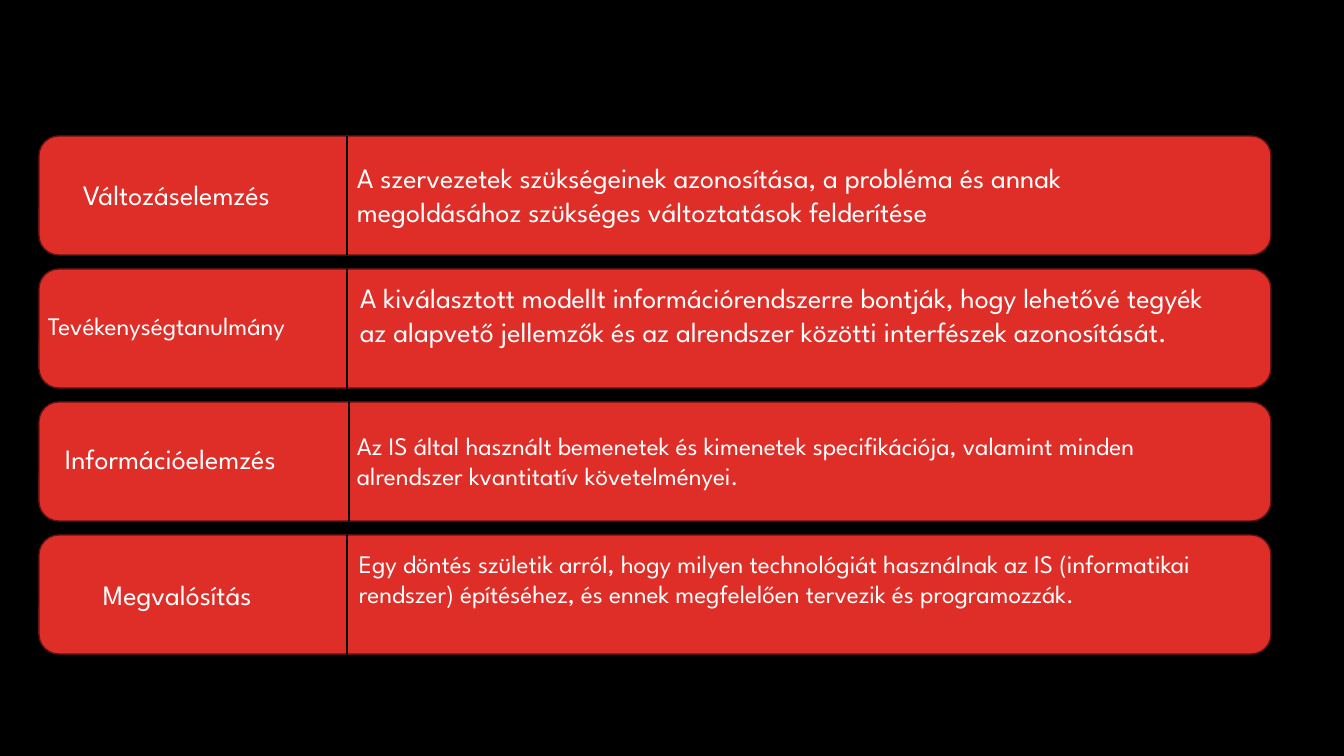
from lxml import etree
from pptx import Presentation
from pptx.dml.color import RGBColor
from pptx.enum.shapes import MSO_CONNECTOR as CONNECTOR, MSO_SHAPE as SHAPE
from pptx.enum.text import MSO_AUTO_SIZE as AUTO_SIZE
from pptx.oxml.ns import qn
from pptx.util import Emu, Pt

COLORS = {"background": "000000", "card": "DF2E28", "outline": "621412", "text": "FFFFFF"}
FONT = "League Spartan"
CARD_LEFT, CARD_TOP, CARD_WIDTH, CARD_HEIGHT, CARD_PITCH = 39, 136, 1232, 119, 133


def px(length):
    return Emu(round(length * 914400 / 100.8))


def add_text(page, text, size, left, top, width, height):
    box = page.shapes.add_textbox(px(left), px(top), px(width), px(height))
    frame = box.text_frame
    frame.word_wrap = True
    frame.auto_size = AUTO_SIZE.SHAPE_TO_FIT_TEXT
    para = frame.paragraphs[0]
    para.text = text
    para.font.name = FONT
    para.font.size = Pt(size)
    para.font.color.rgb = RGBColor.from_string(COLORS["text"])


deck = Presentation()
deck.slide_width, deck.slide_height = px(1344), px(756)
page = deck.slides.add_slide(deck.slide_layouts[6])
page.background.fill.solid()
page.background.fill.fore_color.rgb = RGBColor.from_string(COLORS["background"])

# Each row: divider x, then name and description as (text, size, left, offset, width, height)
rows = [
    (347, ("Változáselemzés", 20, 73, 37, 253, 44),
     ("A szervezetek szükségeinek azonosítása, a probléma és annak "
      "megoldásához szükséges változtatások felderítése", 20, 347, 20, 823, 78)),
    (347, ("Tevékenységtanulmány", 18, 38, 36, 310, 40),
     ("A kiválasztott modellt információrendszerre bontják, hogy lehetővé tegyék "
      "az alapvető jellemzők és az alrendszer közötti interfészek azonosítását.",
      20, 350, 7, 869, 78)),
    (349, ("Információelemzés", 20, 55, 35, 292, 44),
     ("Az IS által használt bemenetek és kimenetek specifikációja, valamint minden "
      "alrendszer kvantitatív követelményei.", 18, 347, 23, 909, 72)),
    (347, ("Megvalósítás", 20, 93, 38, 213, 44),
     ("Egy döntés születik arról, hogy milyen technológiát használnak az IS (informatikai "
      "rendszer) építéséhez, és ennek megfelelően tervezik és programozzák.",
      18, 349, 8, 859, 102)),
]

for index, (divider_x, *texts) in enumerate(rows):
    top = CARD_TOP + index * CARD_PITCH
    card = page.shapes.add_shape(SHAPE.ROUNDED_RECTANGLE, px(CARD_LEFT), px(top),
                                 px(CARD_WIDTH), px(CARD_HEIGHT))
    card.shadow.inherit = False
    card.fill.solid()
    card.fill.fore_color.rgb = RGBColor.from_string(COLORS["card"])
    card.line.color.rgb = RGBColor.from_string(COLORS["outline"])
    card.line.width = Pt(1)

    divider = page.shapes.add_connector(CONNECTOR.STRAIGHT, px(divider_x), px(top),
                                        px(divider_x), px(top + CARD_HEIGHT))
    divider.line.color.rgb = RGBColor.from_string(COLORS["background"])
    divider.line.width = Pt(1)
    etree.SubElement(divider._element.spPr, qn("a:effectLst"))

    for text, size, left, offset, width, height in texts:
        add_text(page, text, size, left, top + offset, width, height)

deck.save("out.pptx")
